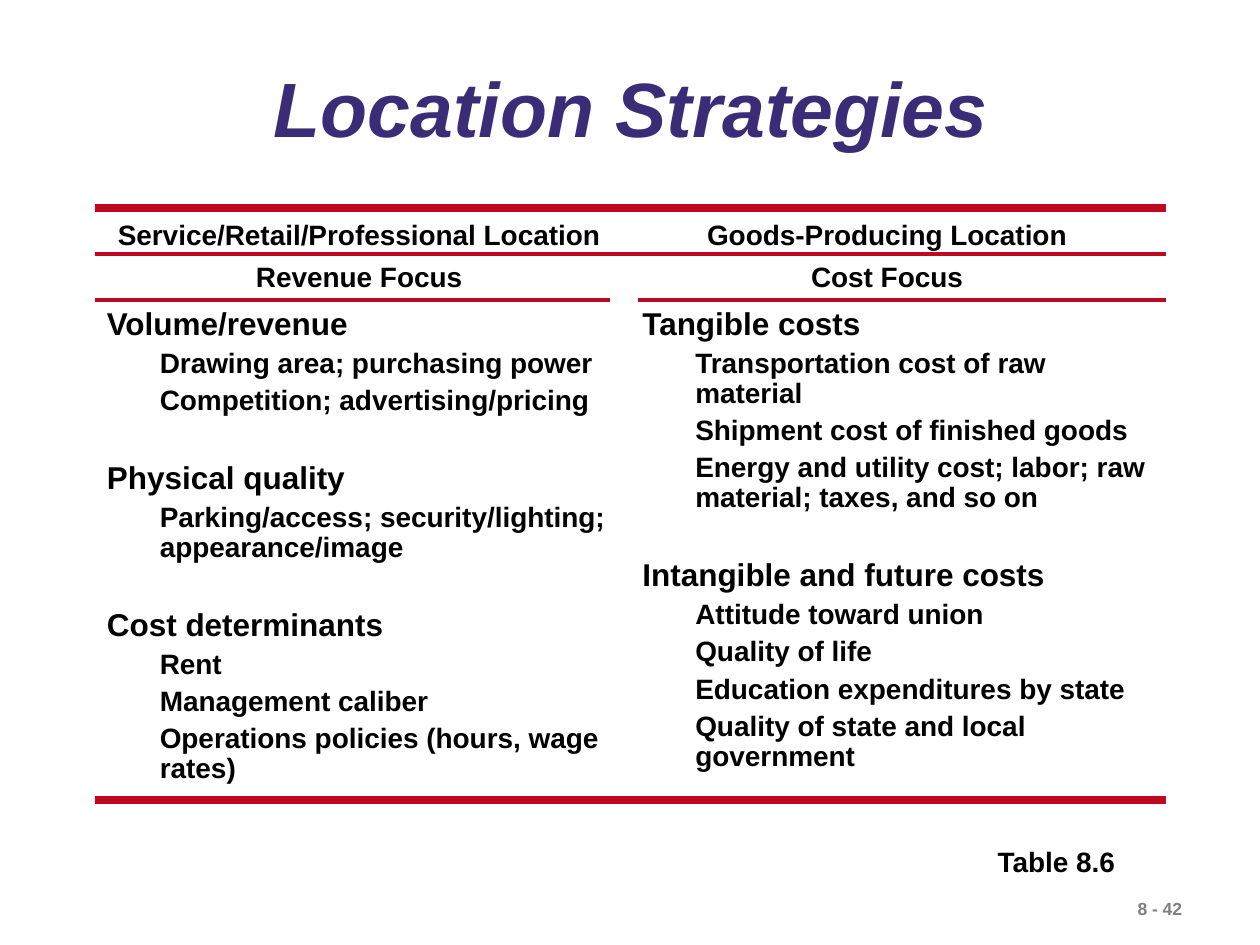
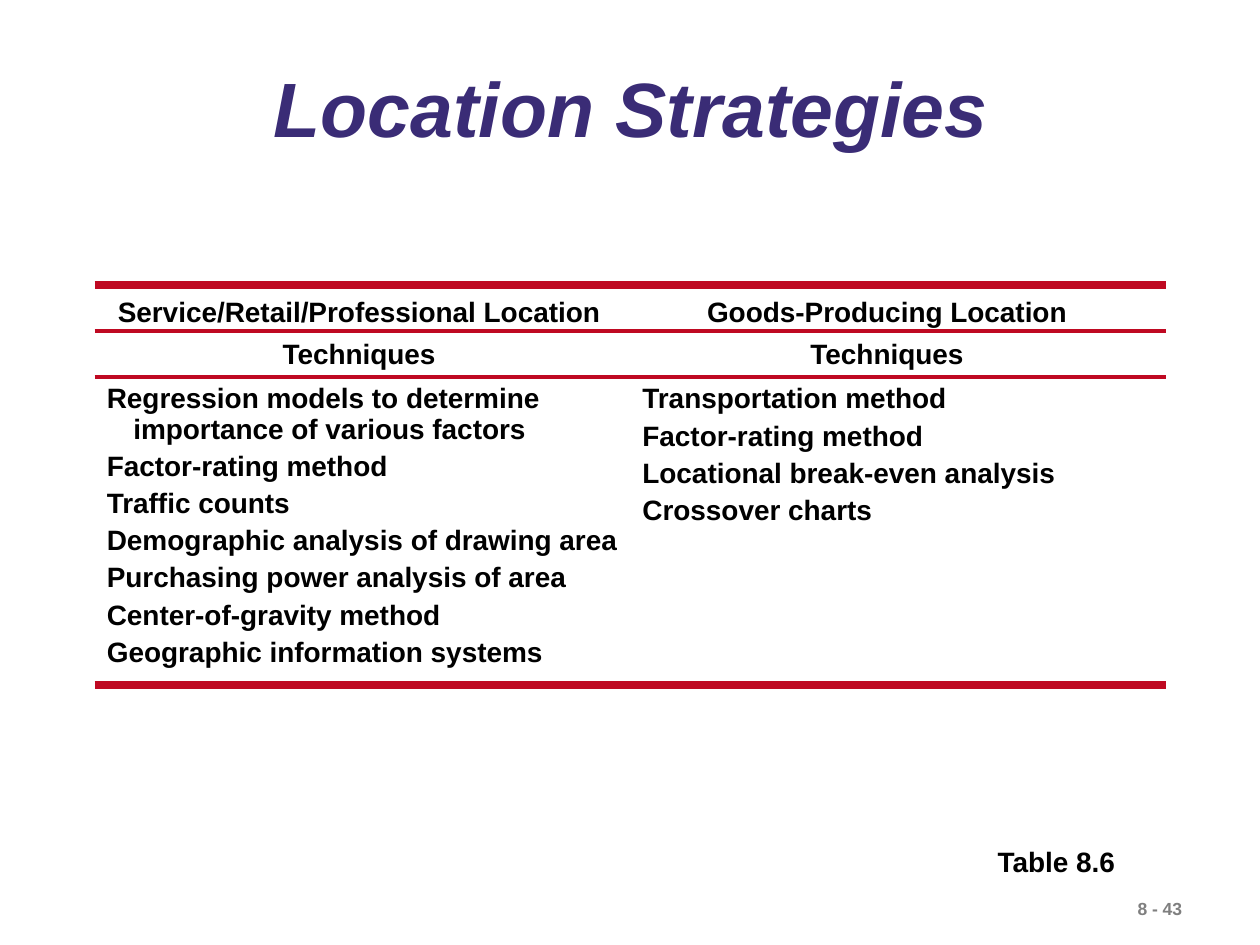
from collections import namedtuple
from dataclasses import dataclass

from lxml import etree
from pptx import Presentation, util as u
from pptx.dml.color import RGBColor
from pptx.enum import shapes, text
from pptx.oxml import ns

CELL = 0.25
COLS, ROWS = 40, 30
Box = namedtuple("Box", "x y w h")


@dataclass(frozen=True)
class Theme:
    """Colours, type sizes and rule weights that the slides share."""
    font: str = "Arial"
    ink: str = "000000"
    head: str = "3A2C76"
    rule: str = "BF0922"
    mute: str = "7F7F7F"
    title: float = 44
    group: float = 18
    body: float = 16
    page: float = 10
    thick: float = 4.5
    thin: float = 2.25


T = Theme()
LINE = 1.46
HALF = 17
SPLIT = (16.36, 17.24)
MIDS = (8.4, 25.16)
INDENT = 0.42
HANG = 0.21
AREA = Box(3, 0, 34, ROWS)


def grid(cells):
    """Turn a count of grid cells into a length."""
    return u.Inches(cells * CELL)


def write(frame, words, size=T.body, color=T.ink, italic=False, align=None,
          line=None, before=0, left=0, hang=0):
    """Add one formatted paragraph, filling the first one if it is empty."""
    first = not frame.paragraphs[0].runs
    para = frame.paragraphs[0] if first else frame.add_paragraph()
    props = para._p.get_or_add_pPr()
    props.set("marL", str(u.Inches(left)))
    props.set("indent", str(-u.Inches(hang)))
    para.alignment = align
    para.line_spacing = line
    para.space_before = u.Pt(0 if first else before)
    run = para.add_run()
    run.text = words
    font = run.font
    font.name, font.size, font.bold, font.italic = T.font, u.Pt(size), True, italic
    font.color.rgb = RGBColor.from_string(color)


def frame(slide, box):
    """Add a wrapping text box and return its text frame."""
    area = slide.shapes.add_textbox(*map(grid, box)).text_frame
    area.word_wrap = True
    return area


def rule(slide, x, y, end, weight):
    """Draw a level red rule."""
    line = slide.shapes.add_connector(
        shapes.MSO_CONNECTOR.STRAIGHT, grid(x), grid(y), grid(end), grid(y))
    line.line.color.rgb = RGBColor.from_string(T.rule)
    line.line.width = u.Pt(weight)
    etree.SubElement(line._element.spPr, ns.qn("a:effectLst"))


def title(slide, box, words):
    """Place and format the title."""
    shape = slide.shapes.title
    shape.left, shape.top, shape.width, shape.height = map(grid, box)
    area = shape.text_frame
    area.vertical_anchor = text.MSO_ANCHOR.MIDDLE
    area.auto_size = text.MSO_AUTO_SIZE.NONE
    write(area, words, size=T.title, color=T.head, italic=True,
          align=text.PP_ALIGN.CENTER, line=0.8)


def foot(slide, box, label, page):
    """Write the table label and the page number at the lower right."""
    edge = box.x + box.w
    write(frame(slide, Box(edge - 5.72, 26.6, 5.2, 1.48)), label)
    write(frame(slide, Box(edge - 1.28, 28.32, 4.28, 1.08)), page,
          size=T.page, color=T.mute)


def header(slide, box, rows):
    """Write the header rows, centred over each column."""
    for mid, labels in zip(MIDS, zip(*rows)):
        area = frame(slide, Box(box.x + mid - HALF / 2, box.y - 0.16,
                                HALF, 2 * LINE + 0.16))
        for label in labels:
            write(area, label, line=1.25, align=text.PP_ALIGN.CENTER)


def groups(slide, box, parts):
    """Write headed groups of indented items."""
    area = frame(slide, box)
    for head, items in parts:
        write(area, head, size=T.group, line=0.9, before=26)
        for item in items:
            write(area, item, line=0.9, before=4, left=INDENT)


def items(slide, box, parts):
    """Write a plain list with hanging lines."""
    area = frame(slide, box)
    for item in parts:
        write(area, item, line=0.9, before=4, left=HANG, hang=HANG)


def panel(slide, box, rows, fill, columns, split):
    """Build the ruled two-column panel inside the box."""
    end, base = box.x + box.w, box.y + box.h
    body = box.y + 2 * LINE
    header(slide, box, rows)
    for i, parts in enumerate(columns):
        fill(slide, Box(box.x + i * HALF, body + 0.06, HALF + 0.7 * (1 - i),
                        base - body - 0.2), parts)
    rule(slide, box.x, box.y, end, T.thick)
    rule(slide, box.x, box.y + LINE, end, T.thin)
    if split:
        rule(slide, box.x, body, box.x + SPLIT[0], T.thin)
        rule(slide, box.x + SPLIT[1], body, end, T.thin)
    else:
        rule(slide, box.x, body, end, T.thin)
    rule(slide, box.x, base, end, T.thick)


def page(deck, number, top, base, focus, fill, columns, split=False):
    """Add one slide with its title, panel and footer."""
    slide = deck.slides.add_slide(deck.slide_layouts[5])
    title(slide, Box(AREA.x + 0.04, 2, AREA.w, 3.32), "Location Strategies")
    heads = ("Service/Retail/Professional Location", "Goods-Producing Location")
    panel(slide, Box(AREA.x, top, AREA.w, base - top), (heads, focus),
          fill, columns, split)
    foot(slide, AREA, "Table 8.6", f"8 - {number}")


REVENUE = (
    ("Volume/revenue", ("Drawing area; purchasing power",
                        "Competition; advertising/pricing")),
    ("Physical quality", ("Parking/access; security/lighting; appearance/image",)),
    ("Cost determinants", ("Rent", "Management caliber",
                           "Operations policies (hours, wage rates)")),
)
COST = (
    ("Tangible costs", (
        "Transportation cost of raw material", "Shipment cost of finished goods",
        "Energy and utility cost; labor; raw material; taxes, and so on")),
    ("Intangible and future costs", (
        "Attitude toward union", "Quality of life", "Education expenditures by state",
        "Quality of state and local government")),
)
SERVICE = (
    "Regression models to determine importance of various factors",
    "Factor-rating method", "Traffic counts", "Demographic analysis of drawing area",
    "Purchasing power analysis of area", "Center-of-gravity method",
    "Geographic information systems",
)
GOODS = ("Transportation method", "Factor-rating method",
         "Locational break-even analysis", "Crossover charts")


def main():
    """Build and save the deck."""
    deck = Presentation()
    deck.slide_width, deck.slide_height = grid(COLS), grid(ROWS)
    page(deck, 42, 6.6, 25.4, ("Revenue Focus", "Cost Focus"), groups,
         (REVENUE, COST), split=True)
    page(deck, 43, 9.04, 21.76, ("Techniques", "Techniques"), items, (SERVICE, GOODS))
    deck.save("out.pptx")


if __name__ == "__main__":
    main()
